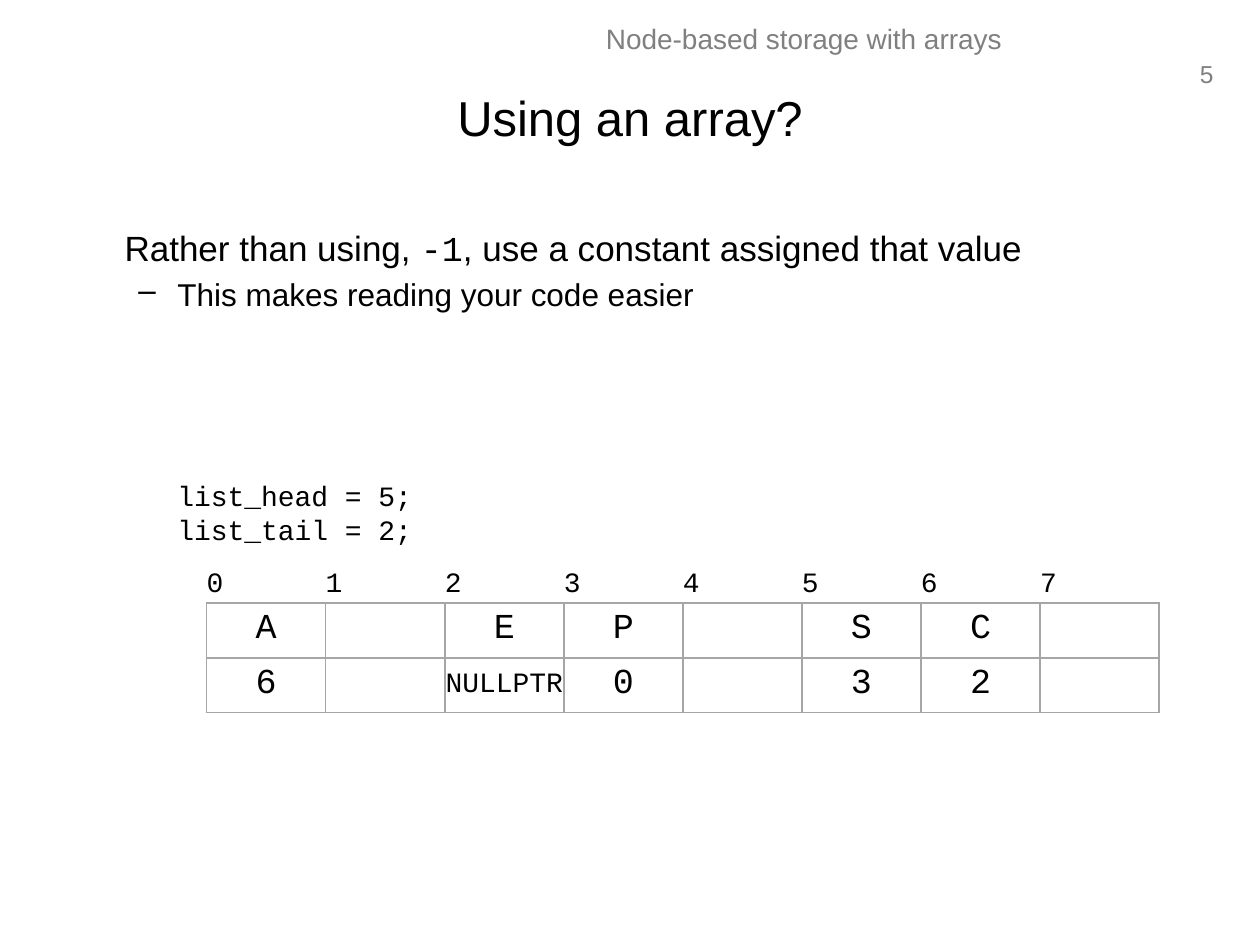
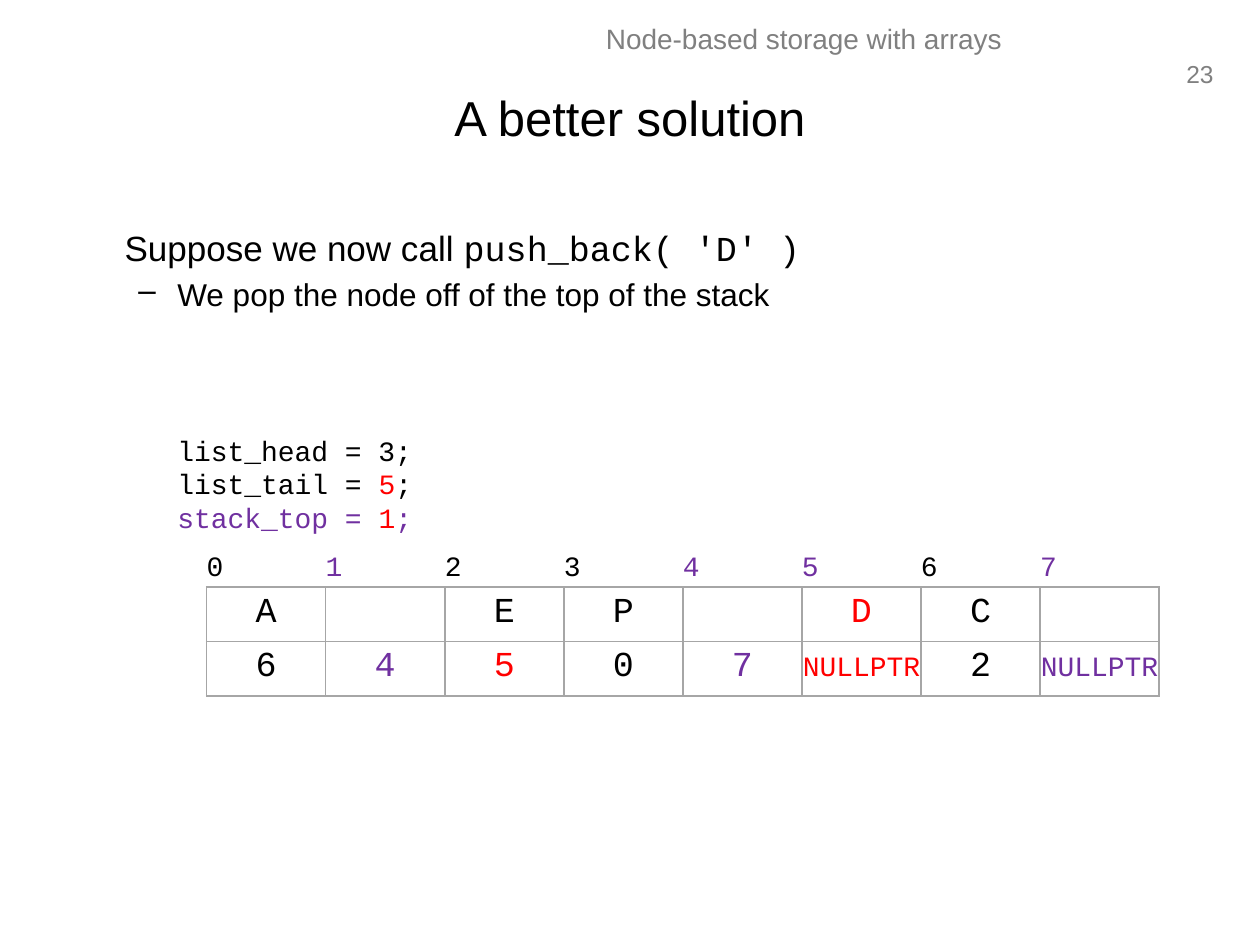
from lxml import etree
from pptx import Presentation
from pptx.dml.color import RGBColor
from pptx.enum import text
from pptx.oxml import ns
from pptx.util import Inches, Pt

BLACK = "000000"
GRAY = "808080"
BORDER = "A6A6A6"
PURPLE = "7030A0"
RED = "FF0000"
SANS = "Arial"
MONO = "Courier New"
CENTER = text.PP_ALIGN.CENTER
COLUMNS = 8
COLUMN_WIDTH = 0.945
ROW_HEIGHTS = (0.25, 0.42, 0.42)


def color(value):
    return RGBColor.from_string(value)


def add_span(para, words, size, face=SANS, ink=BLACK):
    span = para.add_run()
    span.text = words
    span.font.size = Pt(size)
    span.font.name = face
    span.font.color.rgb = color(ink)


def add_box(page, left, top, width, height):
    box = page.shapes.add_textbox(Inches(left), Inches(top), Inches(width), Inches(height))
    box.text_frame.word_wrap = True
    return box.text_frame


def add_line(page, area, words, size, ink=BLACK, align=CENTER):
    frame = add_box(page, *area)
    para = frame.paragraphs[0]
    para.alignment = align
    add_span(para, words, size, ink=ink)
    return frame


def add_frame(page, title, number):
    add_line(page, (9.29, 0.42, 0.44, 0.33), str(number), 14, GRAY, text.PP_ALIGN.RIGHT)
    add_line(page, (3.19, 0.12, 6.38, 0.4), "Node-based storage with arrays", 16, GRAY)
    heading = add_line(page, (0.5, 0.3, 9, 1.25), title, 28)
    heading.vertical_anchor = text.MSO_ANCHOR.MIDDLE


def indent(para, margin, hanging=0.0, bullet=None):
    properties = para._p.get_or_add_pPr()
    properties.set("marL", str(Inches(margin)))
    properties.set("indent", str(Inches(-hanging)))
    if bullet:
        etree.SubElement(properties, ns.qn("a:buChar")).set("char", bullet)


def add_body(page, statement, detail):
    frame = add_box(page, 0.5, 1.75, 9, 4.95)
    para = frame.paragraphs[0]
    indent(para, 0.39)
    for words, face in statement:
        add_span(para, words, 20, face)
    para = frame.add_paragraph()
    indent(para, 0.81, 0.31, "–")
    para.space_before = Pt(3.6)
    add_span(para, detail, 18)


def add_code(page, top, lines):
    frame = add_box(page, 1.31, top, 2.39, 0.1 + 0.27 * len(lines))
    for index, line in enumerate(lines):
        para = frame.add_paragraph() if index else frame.paragraphs[0]
        for words, ink in line:
            add_span(para, words, 16, MONO, ink)


def set_borders(cell, visible):
    properties = cell._tc.get_or_add_tcPr()
    for side in "LRTB":
        line = etree.SubElement(properties, ns.qn(f"a:ln{side}"), w=str(Pt(1)))
        if side in visible:
            fill = etree.SubElement(line, ns.qn("a:solidFill"))
            etree.SubElement(fill, ns.qn("a:srgbClr"), val=BORDER)
        else:
            etree.SubElement(line, ns.qn("a:noFill"))


def fill_cell(cell, words, ink, is_index):
    set_borders(cell, "B" if is_index else "LRTB")
    cell.fill.background()
    is_null = words == "NULLPTR"
    if is_index or is_null:
        cell.margin_left = cell.margin_right = cell.margin_top = cell.margin_bottom = 0
    if is_null:
        cell.vertical_anchor = text.MSO_ANCHOR.MIDDLE
    para = cell.text_frame.paragraphs[0]
    if not is_index:
        para.alignment = CENTER
    if words:
        add_span(para, words, 16 if is_index or is_null else 20, MONO, ink)


def add_storage(page, top, values, links, inks):
    rows = ([str(index) for index in range(COLUMNS)], values, links)
    holder = page.shapes.add_table(
        len(rows), COLUMNS, Inches(1.64), Inches(top),
        Inches(COLUMNS * COLUMN_WIDTH), Inches(sum(ROW_HEIGHTS)))
    table = holder.table
    table.first_row = table.horz_banding = False
    for column in table.columns:
        column.width = Inches(COLUMN_WIDTH)
    for row, words_in_row in enumerate(rows):
        table.rows[row].height = Inches(ROW_HEIGHTS[row])
        for column, words in enumerate(words_in_row):
            ink = inks.get((row, column), BLACK)
            fill_cell(table.cell(row, column), words, ink, row == 0)


def add_array_page(deck, title, number, statement, detail, storage, code):
    page = deck.slides.add_slide(deck.slide_layouts[6])
    add_frame(page, title, number)
    add_body(page, statement, detail)
    add_storage(page, *storage)
    add_code(page, *code)


def main():
    deck = Presentation()
    deck.slide_width, deck.slide_height = Inches(10), Inches(7.5)
    add_array_page(
        deck, "Using an array?", 5,
        [("Rather than using, ", SANS), ("-1", MONO),
         (", use a constant assigned that value", SANS)],
        "This makes reading your code easier",
        (4.52, ["A", "", "E", "P", "", "S", "C", ""],
         ["6", "", "NULLPTR", "0", "", "3", "2", ""], {}),
        (3.75, [[("list_head = 5;", BLACK)], [("list_tail = 2;", BLACK)]]))
    free_nodes = {(row, column): PURPLE for row in (0, 2) for column in (1, 4, 7)}
    changes = {(0, 5): PURPLE, (1, 5): RED, (2, 2): RED, (2, 5): RED}
    add_array_page(
        deck, "A better solution", 23,
        [("Suppose we now call ", SANS), ("push_back( 'D' )", MONO)],
        "We pop the node off of the top of the stack",
        (4.39, ["A", "", "E", "P", "", "D", "C", ""],
         ["6", "4", "5", "0", "7", "NULLPTR", "2", "NULLPTR"], free_nodes | changes),
        (3.39, [[("list_head = 3;", BLACK)],
                [("list_tail = ", BLACK), ("5", RED), (";", BLACK)],
                [("stack_top = ", PURPLE), ("1", RED), (";", PURPLE)]]))
    deck.save("out.pptx")


if __name__ == "__main__":
    main()
